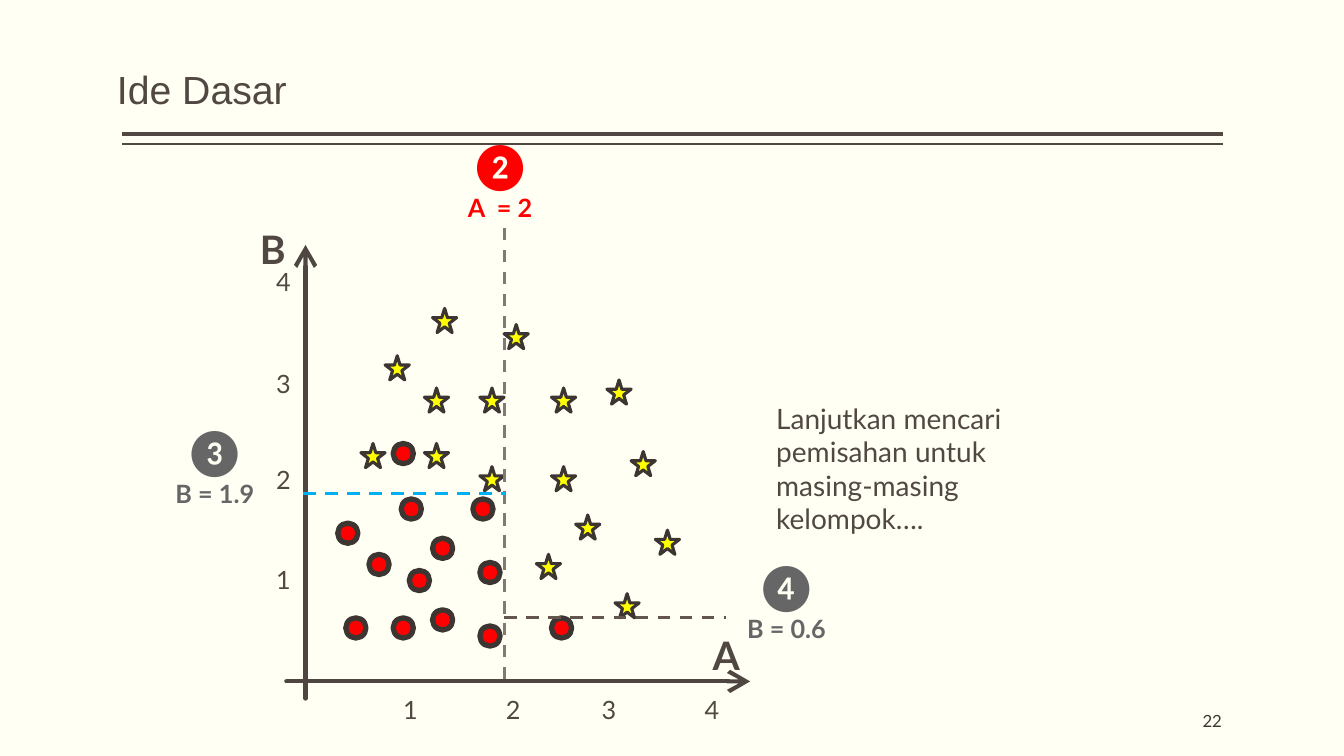
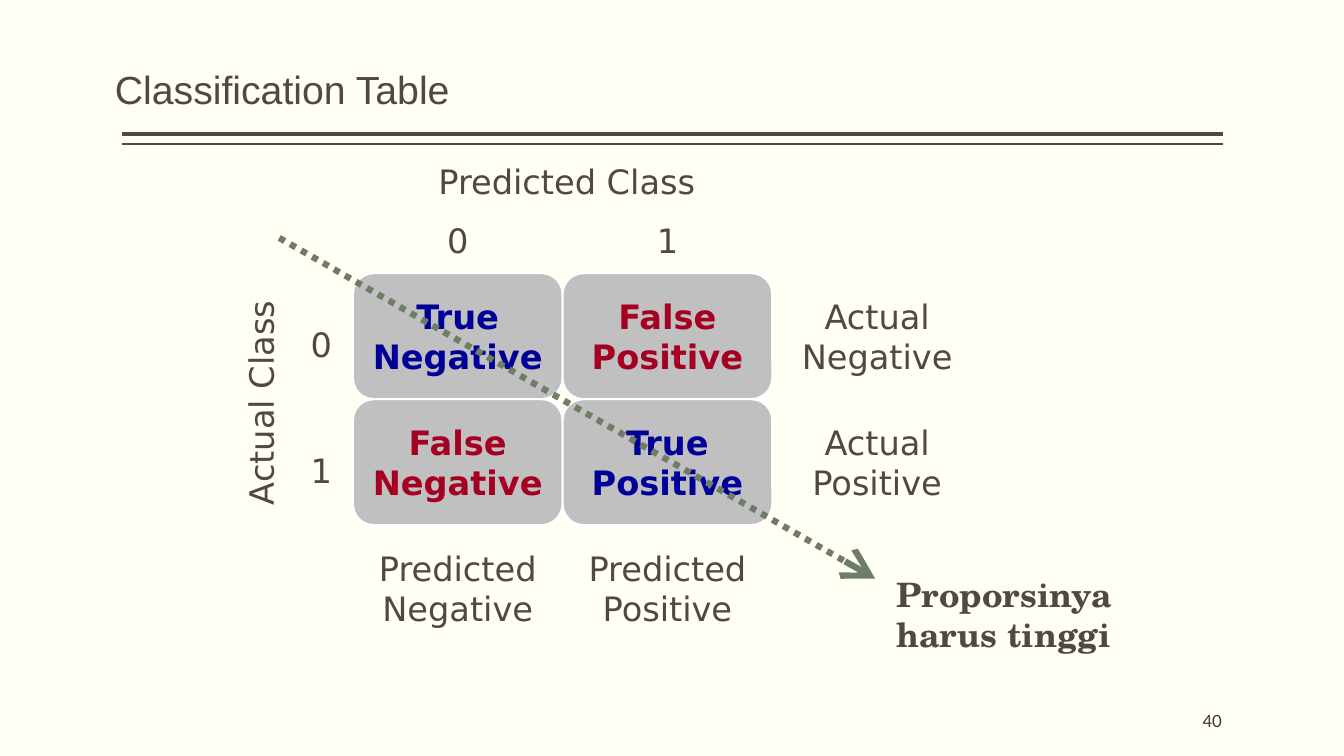
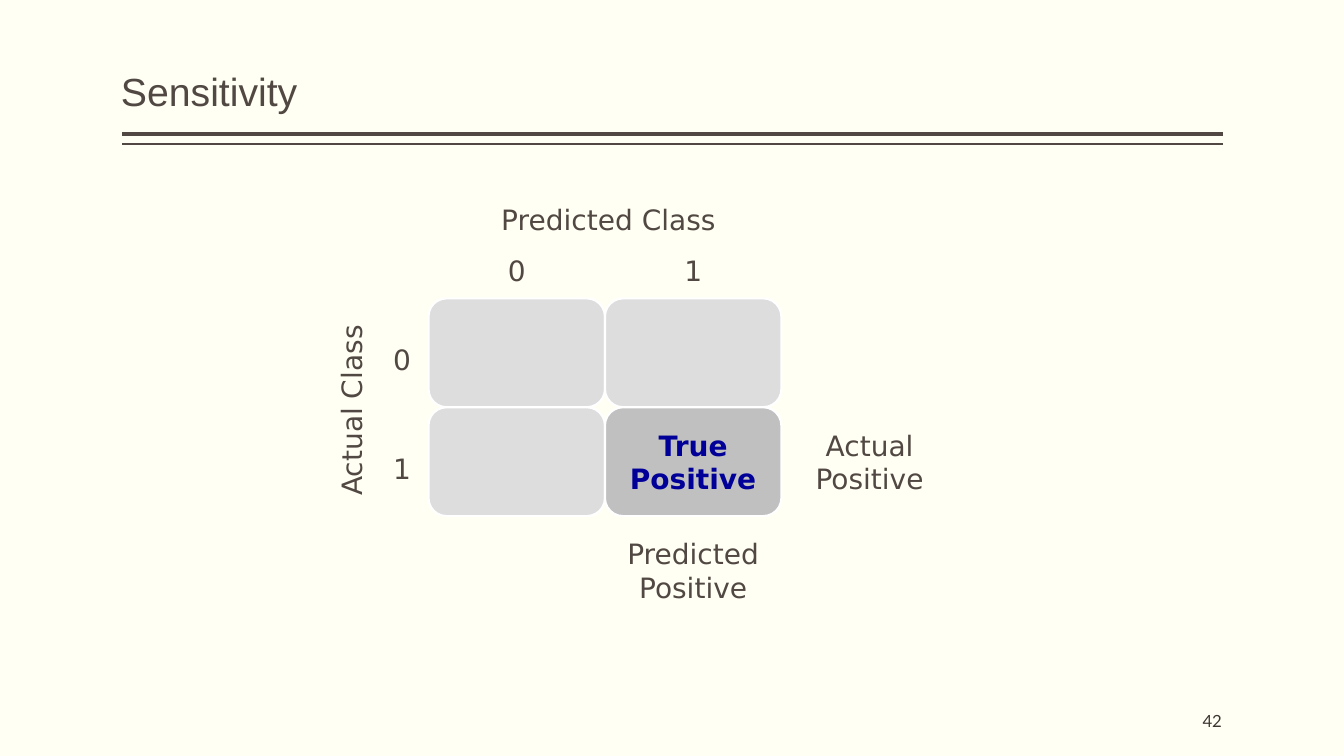
from itertools import product

from lxml import etree
from pptx import Presentation
from pptx.dml.color import RGBColor
from pptx.enum import dml, shapes, text
from pptx.oxml import ns
from pptx.util import Inches, Pt

PAPER = RGBColor(0xFF, 0xFF, 0xF3)
INK = RGBColor(0x51, 0x48, 0x43)
NUMBER = RGBColor(0x3D, 0x36, 0x32)
AXIS = RGBColor(0x50, 0x46, 0x41)
OUTLINE = RGBColor(0x3C, 0x35, 0x32)
YELLOW = RGBColor(0xFF, 0xFF, 0x00)
RED = RGBColor(0xFF, 0x00, 0x00)
GRAY = RGBColor(0x66, 0x66, 0x66)
SPLIT_A = RGBColor(0x81, 0x7A, 0x74)
SPLIT_B_LOW = RGBColor(0x62, 0x56, 0x4D)
SKY = RGBColor(0x00, 0xB0, 0xF0)
WHITE = RGBColor(0xFF, 0xFF, 0xFF)
CELL = RGBColor(0xC0, 0xC0, 0xC0)
EMPTY_CELL = RGBColor(0xDD, 0xDD, 0xDD)
DIAGONAL = RGBColor(0x6D, 0x7D, 0x66)
VERDICTS = {"True": RGBColor(0x00, 0x00, 0x99), "False": RGBColor(0xA5, 0x00, 0x21)}

TITLE_FONT, BODY_FONT = "Arial", "Lato"
MATRIX_FONT, NOTE_FONT = "DejaVu Sans", "TeX Gyre Schola"
CENTER, RIGHT = text.PP_ALIGN.CENTER, text.PP_ALIGN.RIGHT
TICKS = "1234"
TICK_X = (3.9, 4.92, 5.87, 6.89)
TICK_Y = (5.55, 4.56, 3.61, 2.59)
STARS = (
    (4.29, 3.06), (3.82, 3.53), (4.76, 3.85), (5, 3.22), (6.02, 3.77), (4.76, 4.63),
    (5.47, 3.85), (5.71, 5.11), (5.47, 4.63), (6.26, 4.48), (5.32, 5.5), (6.5, 5.26),
    (4.21, 4.4), (3.58, 4.4), (4.21, 3.85), (6.1, 5.89),
)
DOTS = (
    (3.98, 4.95), (4.69, 4.95), (4.29, 5.34), (3.66, 5.5), (4.29, 6.05), (4.76, 5.58),
    (4.06, 5.66), (5.47, 6.13), (4.76, 6.21), (3.9, 4.4), (3.35, 5.19), (3.9, 6.13),
    (3.43, 6.13),
)


def inches(*lengths):
    return [Inches(length) for length in lengths]


def write(paragraph, words, size, color=INK, font=BODY_FONT, bold=False, align=None):
    paragraph.alignment = align
    run = paragraph.add_run()
    run.text = words
    run.font.size = Pt(size)
    run.font.name = font
    run.font.bold = bold
    run.font.color.rgb = color


def label(slide, words, box, size, **style):
    holder = slide.shapes.add_textbox(*inches(*box))
    holder.text_frame.word_wrap = True
    write(holder.text_frame.paragraphs[0], words, size, **style)
    return holder


def line(slide, start, end, color, width, dash=None, arrow=False):
    connector = slide.shapes.add_connector(
        shapes.MSO_CONNECTOR.STRAIGHT, *inches(*start, *end))
    connector.line.color.rgb = color
    connector.line.width = Pt(width)
    if dash:
        connector.line.dash_style = dash
    properties = connector.element.spPr
    if arrow:
        stroke = properties.find(ns.qn("a:ln"))
        if not dash:
            stroke.set("cap", "rnd")
        etree.SubElement(stroke, ns.qn("a:tailEnd"), type="arrow", w="lg", len="lg")
    etree.SubElement(properties, ns.qn("a:effectLst"))
    return connector


def solid(slide, kind, box, fill, outline, width):
    shape = slide.shapes.add_shape(kind, *inches(*box))
    shape.shadow.inherit = False
    shape.fill.solid()
    shape.fill.fore_color.rgb = fill
    shape.line.color.rgb = outline
    shape.line.width = Pt(width)
    return shape


def new_slide(deck, title, number, left, bottom):
    slide = deck.slides.add_slide(deck.slide_layouts[5])
    heading = slide.shapes.title
    heading.left, heading.top, heading.width, heading.height = inches(
        left, bottom - 0.83, 8.62, 0.83)
    frame = heading.text_frame
    frame.auto_size = text.MSO_AUTO_SIZE.NONE
    frame.vertical_anchor = text.MSO_ANCHOR.BOTTOM
    frame.margin_left = frame.margin_right = 0
    frame.paragraphs[0].line_spacing = 0.9
    write(frame.paragraphs[0], title, 28, font=TITLE_FONT, align=text.PP_ALIGN.LEFT)
    page = label(slide, number, (10.12, 6.95, 2, 0.4), 12, color=NUMBER, align=RIGHT)
    page.text_frame.margin_left = page.text_frame.margin_right = 0
    page.text_frame.vertical_anchor = text.MSO_ANCHOR.MIDDLE
    return slide


def add_title_rules(deck, slide):
    layout = deck.slide_layouts[5]
    for y, width in ((1.33, 3), (1.43, 1)):
        rule = line(slide, (12.13, y), (1.21, y), INK, width)
        layout.shapes.element.append(rule.element)


def split_mark(slide, badge, rule, left, top, color):
    mark = label(slide, badge, (left, top, 1.18, 0.94), 32, color=color, align=CENTER)
    write(mark.text_frame.add_paragraph(), rule, 18, color, bold=True, align=CENTER)


def scatter(slide):
    line(slide, (3.03, 6.93), (3.03, 2.43), AXIS, 3, arrow=True)
    line(slide, (2.84, 6.76), (7.44, 6.76), AXIS, 3, arrow=True)
    for tick, x, y in zip(TICKS, TICK_X, TICK_Y):
        label(slide, tick, (2.64, y, 0.24, 0.4), 18)
        label(slide, tick, (x, 6.84, 0.24, 0.4), 18)
    for kind, points, side, fill, width in (
        (shapes.MSO_SHAPE.STAR_5_POINT, STARS, 0.24, YELLOW, 2.25),
        (shapes.MSO_SHAPE.FLOWCHART_CONNECTOR, DOTS, 0.2, RED, 3.78),
    ):
        for x, y in points:
            solid(slide, kind, (x, y, side, side), fill, OUTLINE, width)
    label(slide, "B", (2.48, 2.19, 0.47, 0.57), 28, bold=True)
    label(slide, "A", (6.97, 6.21, 0.47, 0.57), 28, bold=True)


def matrix_cell(slide, words, box, size, inside):
    if inside:
        cell = solid(slide, shapes.MSO_SHAPE.ROUNDED_RECTANGLE, box,
                     CELL if words else EMPTY_CELL, WHITE, 1.5)
    else:
        cell = slide.shapes.add_textbox(*inches(*box))
    frame = cell.text_frame
    frame.word_wrap = False
    frame.vertical_anchor = text.MSO_ANCHOR.MIDDLE
    for index, word in enumerate(words.split()):
        paragraph = frame.add_paragraph() if index else frame.paragraphs[0]
        color = VERDICTS.get(words.split()[0], INK)
        write(paragraph, word, size, color, MATRIX_FONT, inside, CENTER)


def confusion_matrix(slide, left, top, cell_width, cell_height, size, rows):
    def axis_label(words, column, row, rotation=0):
        width = 0.25 + size * len(words) / 125
        height = 0.1 + size / 60
        x = left + column * cell_width - width / 2
        y = top + row * cell_height - height / 2
        holder = label(slide, words, (x, y, width, height), size,
                       font=MATRIX_FONT, align=CENTER)
        holder.rotation = rotation

    for row, column in product(range(3), repeat=2):
        inside = row < 2 and column < 2
        words = rows[row][column]
        if inside or words:
            box = (left + column * cell_width, top + row * cell_height,
                   cell_width, cell_height)
            matrix_cell(slide, words, box, size, inside)
    axis_label("Predicted Class", 1.02, -0.73)
    axis_label("Actual Class", -0.44, 1.03, 270)
    for index in range(2):
        axis_label(str(index), -0.15, index + 0.56)
        axis_label(str(index), index + 0.5, -0.26)


def basic_idea(deck):
    slide = new_slide(deck, "Ide Dasar", "22", 1.16, 1.17)
    add_title_rules(deck, slide)
    label(slide, "Lanjutkan mencari pemisahan untuk masing-masing kelompok….",
          (7.6, 3.93, 3.15, 1.45), 20)
    scatter(slide)
    dash = dml.MSO_LINE.DASH
    line(slide, (5, 6.74), (5, 2.24), SPLIT_A, 2.25, dash)
    split_mark(slide, "❷", "A  = 2", 4.37, 1.33, RED)
    line(slide, (3.01, 4.9), (5.01, 4.9), SKY, 2.25, dash)
    split_mark(slide, "❸", "B = 1.9", 1.54, 4.16, GRAY)
    line(slide, (5, 6.13), (7.2, 6.13), SPLIT_B_LOW, 2.25, dash)
    split_mark(slide, "❹", "B = 0.6", 7.21, 5.5, GRAY)


def classification_table(deck):
    slide = new_slide(deck, "Classification Table", "40", 1.14, 1.17)
    confusion_matrix(slide, 3.5, 2.71, 2.08, 1.25, 24, (
        ("True Negative", "False Positive", "Actual Negative"),
        ("False Negative", "True Positive", "Actual Positive"),
        ("Predicted Negative", "Predicted Positive", ""),
    ))
    line(slide, (2.77, 2.36), (8.68, 5.74), DIAGONAL, 4.5,
         dml.MSO_LINE.ROUND_DOT, arrow=True)
    label(slide, "Proporsinya harus tinggi", (8.79, 5.64, 2.52, 0.91), 24,
          font=NOTE_FONT, bold=True)


def sensitivity(deck):
    slide = new_slide(deck, "Sensitivity", "42", 1.2, 1.19)
    confusion_matrix(slide, 4.25, 2.96, 1.75, 1.08, 20, (
        ("", "", ""),
        ("", "True Positive", "Actual Positive"),
        ("", "Predicted Positive", ""),
    ))


def main():
    deck = Presentation()
    deck.slide_width, deck.slide_height = inches(13.33, 7.5)
    backdrop = deck.slide_master.background.fill
    backdrop.solid()
    backdrop.fore_color.rgb = PAPER
    basic_idea(deck)
    classification_table(deck)
    sensitivity(deck)
    deck.save("out.pptx")


if __name__ == "__main__":
    main()
